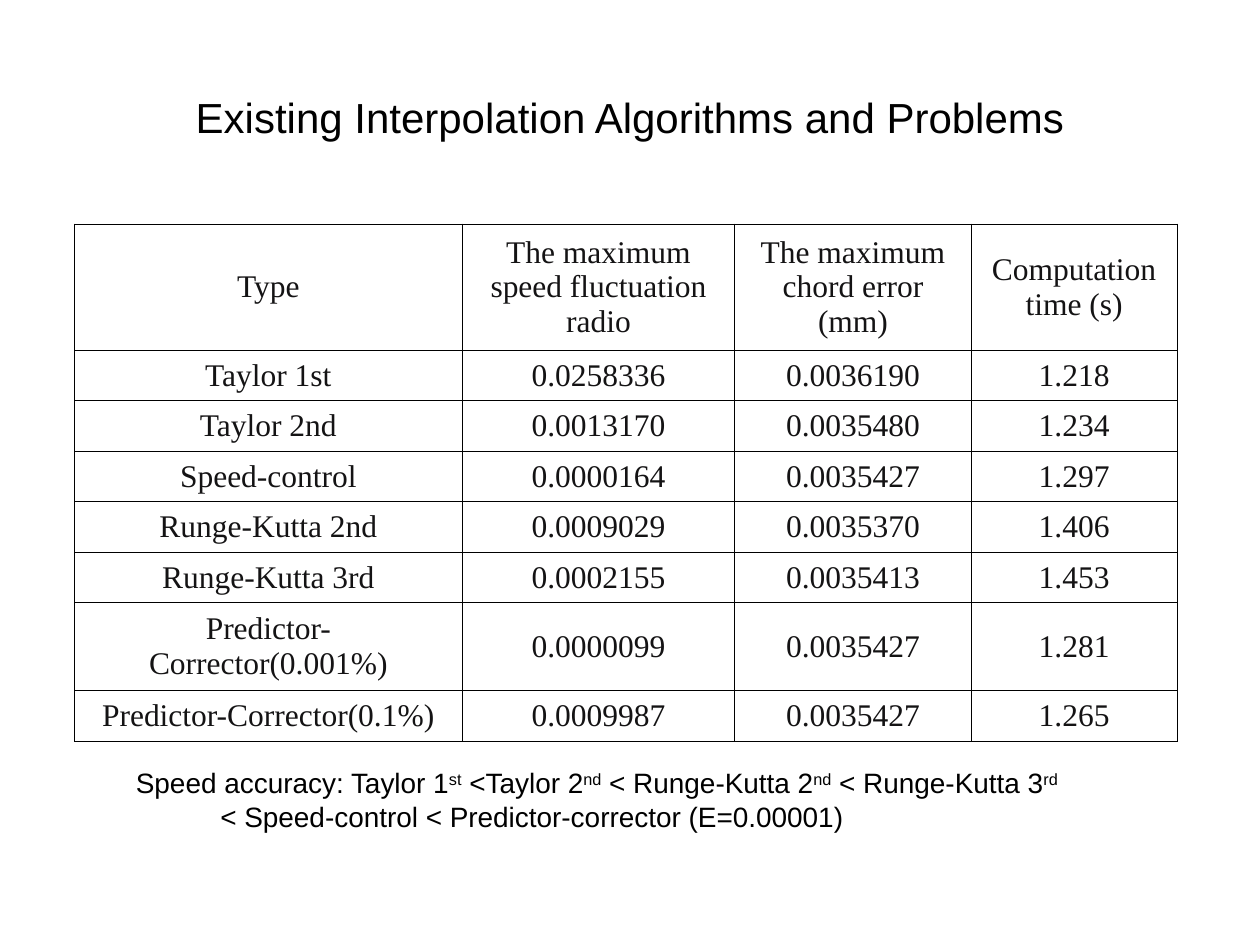
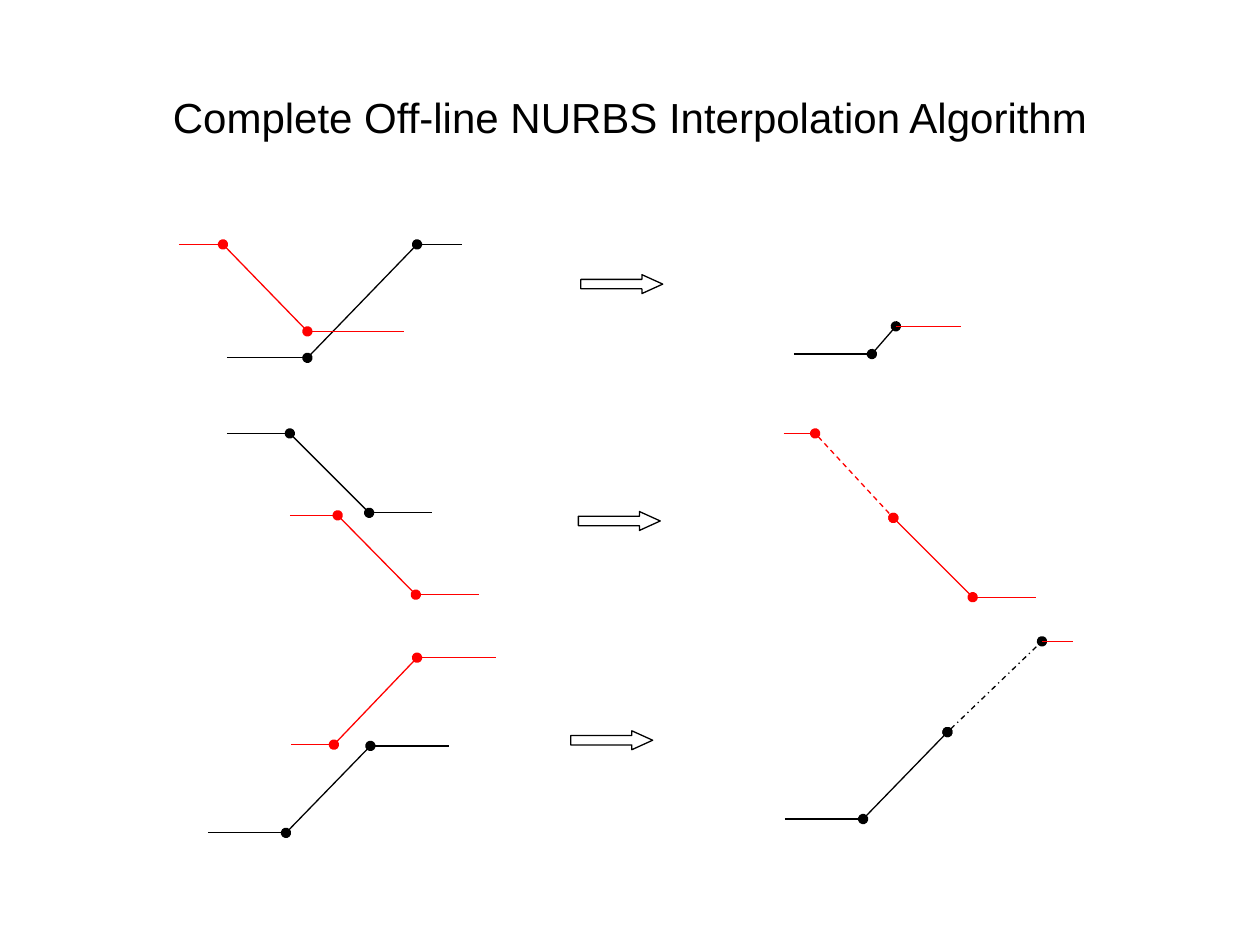
from itertools import pairwise
from pptx import Presentation
from pptx.dml.color import RGBColor as Rgb
from pptx.enum.dml import MSO_LINE as Dash
from pptx.enum.shapes import MSO_CONNECTOR as Link, MSO_SHAPE as Shape
from pptx.enum.text import MSO_ANCHOR as Anchor, PP_ALIGN as Align
from pptx.oxml.ns import qn
from pptx.util import Inches, Pt
from lxml.etree import SubElement as Sub

INK = {"black": "000000", "red": "FF0000", "white": "FFFFFF", "cell": "141314"}
SANS, SERIF = "Arial", "Times New Roman"
THIN, THICK, SIDE = 0.45, 0.96, 0.34

COLS = [3.08, 2.16, 1.88, 1.63]
ROWS = [
    ("Type", "The maximum speed fluctuation radio", "The maximum chord error (mm)", "Computation time (s)"),
    ("Taylor 1st", "0.0258336", "0.0036190", "1.218"),
    ("Taylor 2nd", "0.0013170", "0.0035480", "1.234"),
    ("Speed-control", "0.0000164", "0.0035427", "1.297"),
    ("Runge-Kutta 2nd", "0.0009029", "0.0035370", "1.406"),
    ("Runge-Kutta 3rd", "0.0002155", "0.0035413", "1.453"),
    ("Predictor-Corrector(0.001%)", "0.0000099", "0.0035427", "1.281"),
    ("Predictor-Corrector(0.1%)", "0.0009987", "0.0035427", "1.265"),
]
HIGH = {0: 1.0, 6: 0.7}
ORDERS = [
    ("Speed accuracy: Taylor 1", "st"),
    (" <Taylor 2", "nd"),
    (" < Runge-Kutta 2", "nd"),
    (" < Runge-Kutta 3", "rd"),
]


def color(name):
    return Rgb.from_string(INK[name])


def style(para, size, face=SANS, tint="black"):
    font = para.font
    font.size, font.name, font.color.rgb = Pt(size), face, color(tint)


def add_box(slide, left, top, width, height):
    frame = slide.shapes.add_textbox(*map(Inches, (left, top, width, height))).text_frame
    frame.word_wrap = True
    return frame


def add_page(deck, title):
    slide = deck.slides.add_slide(deck.slide_layouts[6])
    frame = add_box(slide, 0.5, 0.3, 9, 1.25)
    frame.vertical_anchor = Anchor.MIDDLE
    para = frame.paragraphs[0]
    para.text, para.alignment = title, Align.CENTER
    style(para, 24)
    return slide


def add_edge(cell, side, width):
    edge = Sub(cell._tc.get_or_add_tcPr(), qn(f"a:ln{side}"), w=str(Pt(width)))
    fill = Sub(edge, qn("a:solidFill"))
    Sub(fill, qn("a:srgbClr"), val=INK["black"])


def fill_cell(cell, text, edges):
    cell.text = text
    cell.vertical_anchor = Anchor.MIDDLE
    para = cell.text_frame.paragraphs[0]
    para.alignment = Align.CENTER
    style(para, 18, SERIF, "cell")
    for side, width in edges.items():
        add_edge(cell, side, width)
    cell.fill.background()


def add_grid(slide):
    highs = [HIGH.get(i, 0.4) for i in range(len(ROWS))]
    spot = map(Inches, (0.59, 1.78, sum(COLS), sum(highs)))
    grid = slide.shapes.add_table(len(ROWS), len(COLS), *spot).table
    grid.first_row = grid.horz_banding = False
    for col, width in zip(grid.columns, COLS):
        col.width = Inches(width)
    last_row, last_col = len(ROWS) - 1, len(COLS) - 1
    for i, texts in enumerate(ROWS):
        grid.rows[i].height = Inches(highs[i])
        for j, text in enumerate(texts):
            edges = {
                "L": SIDE if j == 0 else THIN,
                "R": SIDE if j == last_col else THIN,
                "T": THICK if i < 2 else THIN,
                "B": THICK if i in (0, last_row) else THIN,
            }
            fill_cell(grid.cell(i, j), text, edges)


def add_note(slide):
    frame = add_box(slide, 0.98, 6.03, 7.88, 0.64)
    first, second = frame.paragraphs[0], frame.add_paragraph()
    for text, power in ORDERS:
        first.add_run().text = text
        run = first.add_run()
        run.text = power
        run.font._element.set("baseline", "30000")
    second.text = "< Speed-control < Predictor-corrector (E=0.00001)"
    second._p.get_or_add_pPr().set("marL", str(Inches(0.67)))
    for para in frame.paragraphs:
        style(para, 16)


def add_line(slide, start, end, tint, dots=False, dash=None):
    line = slide.shapes.add_connector(Link.STRAIGHT, *map(Inches, (*start, *end)))
    line.line.color.rgb, line.line.width = color(tint), Pt(0.75)
    if dash:
        line.line.dash_style = dash
    if dots:
        for tag in ("a:headEnd", "a:tailEnd"):
            Sub(line.line._get_or_add_ln(), qn(tag), type="oval")
    Sub(line._element.spPr, qn("a:effectLst"))


def add_curve(slide, left, knots, right, tint, exit_tint=None, dashes=(None,)):
    for (start, end), dash in zip(pairwise(knots), dashes):
        add_line(slide, start, end, tint, True, dash)
    add_line(slide, (left, knots[0][1]), knots[0], tint)
    add_line(slide, knots[-1], (right, knots[-1][1]), exit_tint or tint)


def add_arrow(slide, left, top):
    arrow = slide.shapes.add_shape(Shape.RIGHT_ARROW, *map(Inches, (left, top, 0.65, 0.15)))
    arrow.adjustments[1] = 1.1
    arrow.shadow.inherit = False
    arrow.fill.solid()
    arrow.fill.fore_color.rgb = color("white")
    arrow.line.color.rgb, arrow.line.width = color("black"), Pt(0.75)


def main():
    deck = Presentation()
    deck.slide_width, deck.slide_height = Inches(10), Inches(7.5)

    slide = add_page(deck, "Existing Interpolation Algorithms and Problems")
    add_note(slide)
    add_grid(slide)

    slide = add_page(deck, "Complete Off-line NURBS Interpolation Algorithm")
    add_curve(slide, 1.8, [(2.44, 2.84), (3.31, 1.94)], 3.67, "black")
    add_curve(slide, 1.42, [(1.77, 1.94), (2.44, 2.63)], 3.21, "red")
    add_curve(slide, 6.3, [(6.92, 2.81), (7.11, 2.59)], 7.63, "black", "red")

    add_curve(slide, 1.8, [(2.3, 3.44), (2.93, 4.07)], 3.43, "black")
    add_curve(slide, 2.3, [(2.68, 4.09), (3.3, 4.72)], 3.8, "red")
    add_curve(slide, 6.22, [(6.47, 3.44), (7.09, 4.11), (7.72, 4.74)], 8.22, "red",
              dashes=(Dash.DASH, None))

    add_curve(slide, 1.65, [(2.27, 6.61), (2.94, 5.92)], 3.56, "black")
    add_curve(slide, 2.31, [(2.65, 5.91), (3.31, 5.22)], 3.94, "red")
    add_curve(slide, 6.23, [(6.85, 6.5), (7.52, 5.81), (8.27, 5.09)], 8.52, "black", "red",
              (None, Dash.DASH_DOT))

    for left, top in [(4.61, 2.18), (4.59, 4.06), (4.53, 5.8)]:
        add_arrow(slide, left, top)

    deck.save("out.pptx")


if __name__ == "__main__":
    main()
